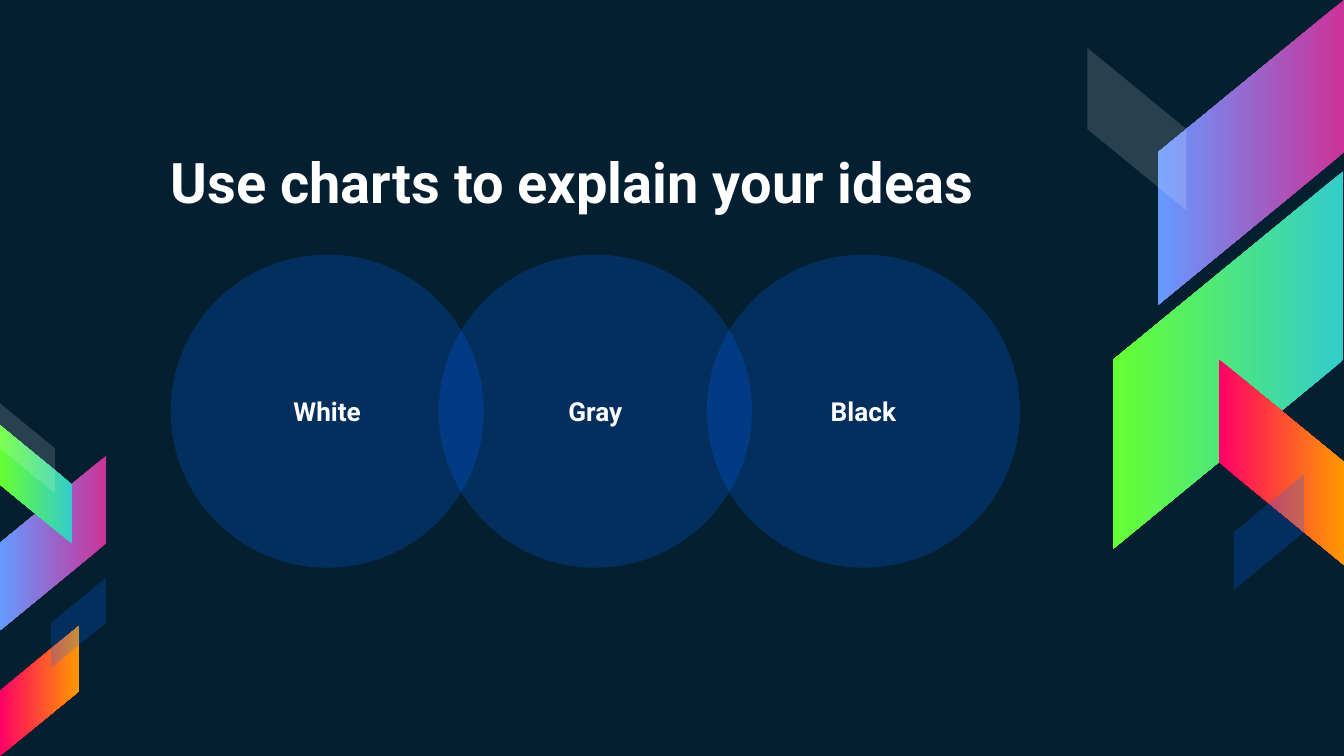
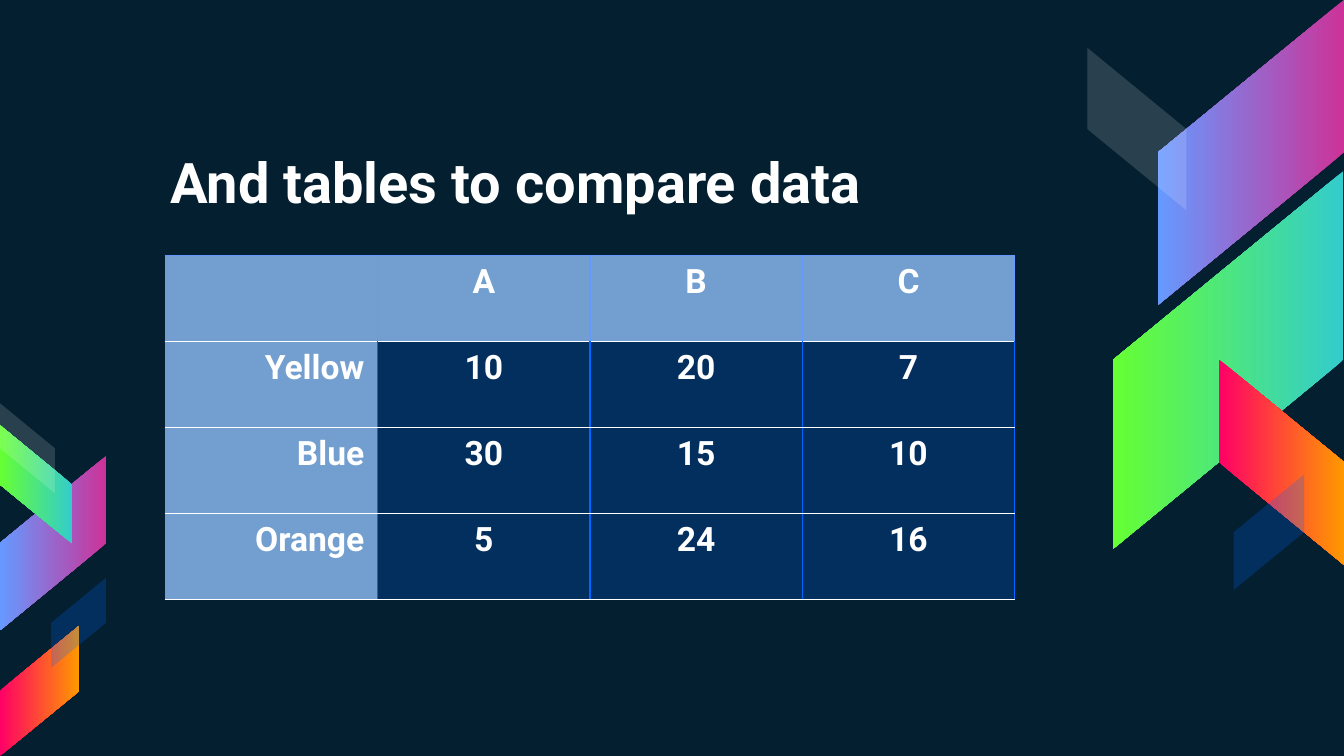
import pptx
import pptx.dml.color
import pptx.enum.shapes
import pptx.enum.text
import pptx.oxml
import pptx.oxml.ns
import pptx.util

ALIGN = pptx.enum.text.PP_ALIGN
ANCHOR = pptx.enum.text.MSO_ANCHOR
SHAPE = pptx.enum.shapes.MSO_SHAPE

# The slide is a grid of 100 columns by 56.25 rows of square cells.
CELL = pptx.util.Inches(0.1)
COLUMNS, ROWS = 100, 56.25

FONT = "Roboto"
NIGHT, WHITE, BLUE = "041F30", "FFFFFF", "0066FF"
HEADER, HEADER_EDGE = "729FCF", "6699FF"
BLUE_OPACITY = 23
NO_TABLE_STYLE = "{2D5ABB26-0587-4C30-8999-92F81FD0307C}"

# Boxes: left, top, width, height in grid cells
TITLE_BOX = (11.7, 9.95, 65.3, 7)
CIRCLES_BOX = (12.7, 18.95, 63.2, 23.3)
TABLE_BOX = (12.3, 19, 63.2, 25.6)
RIGHT_RIBBONS_BOX = (80.9, 0, 19.1, 43.9)
LEFT_RIBBONS_BOX = (0, 30, 7.9, 26.25)

# Ribbon finishes: colours, opacity, rotation
FINISHES = {
    "violet": (("CC3399", "6699FF"), 100, 90),
    "green": (("33CCCC", "66FF33"), 100, 90),
    "sunset": (("FF0066", "FF9900"), 100, 270),
    "mist": ((WHITE,), 15, 270),
    "blue": ((BLUE,), BLUE_OPACITY, 270),
}
RIBBON_ASPECT = 1.64
RIBBON_SLANT = 0.82

# Ribbons: finish, column and row within the box, height, rising to the right
RIGHT_RIBBONS = [
    ("violet", 5.25, 0, 22.7, True),
    ("green", 1.9, 12.75, 28.1, True),
    ("sunset", 9.8, 26.75, 15.3, False),
    ("mist", 0, 3.55, 12.1, False),
    ("blue", 10.9, 35.3, 8.6, True),
]
LEFT_RIBBONS = [
    ("violet", 0, 3.9, 13, True),
    ("green", 0, 1.65, 8.8, False),
    ("sunset", 0, 16.55, 9.7, True),
    ("mist", 0, 0, 6.7, False),
    ("blue", 3.8, 13, 6.7, True),
]

# Circles from back to front, with their place in the row
CIRCLES = [("Gray", 1), ("White", 0), ("Black", 2)]

COMPARISON = [
    ["", "A", "B", "C"],
    ["Yellow", "10", "20", "7"],
    ["Blue", "30", "15", "10"],
    ["Orange", "5", "24", "16"],
]


def rgb(colour):
    return pptx.dml.color.RGBColor.from_string(colour)


def cells(*lengths):
    return [round(length * CELL) for length in lengths]


def paint(fill, owner, colour, opacity=100):
    """Fill solidly; owner is the XML element that holds the fill."""
    fill.solid()
    fill.fore_color.rgb = rgb(colour)
    if opacity < 100:
        tint = owner.find(".//" + pptx.oxml.ns.qn("a:srgbClr"))
        alpha = tint.makeelement(pptx.oxml.ns.qn("a:alpha"), {"val": str(opacity * 1000)})
        tint.append(alpha)


def write(frame, text, size, align=ALIGN.LEFT, **frame_format):
    for name, value in frame_format.items():
        setattr(frame, name, value)
    paragraph = frame.paragraphs[0]
    paragraph.alignment = align
    run = paragraph.add_run()
    run.text = text
    run.font.color.rgb = rgb(WHITE)
    for name, value in {"name": FONT, "size": pptx.util.Pt(size), "bold": True}.items():
        setattr(run.font, name, value)


def inset(width):
    sides = ("left", "top", "right", "bottom")
    return {f"margin_{side}": pptx.util.Inches(width) for side in sides}


def add_plain_shape(slide, preset, box):
    shape = slide.shapes.add_shape(preset, *cells(*box))
    shape.shadow.inherit = False
    shape.line.fill.background()
    return shape


def add_ribbons(slide, box, ribbons):
    ribbon_shapes = []
    for finish, column, row, height, rising in ribbons:
        colours, opacity, rotation = FINISHES[finish]
        width = height / RIBBON_ASPECT
        # The preset lies flat and is turned upright about its centre.
        turn = (height - width) / 2
        ribbon = add_plain_shape(slide, SHAPE.PARALLELOGRAM, (
            box[0] + column - turn, box[1] + row + turn, height, width))
        ribbon.adjustments[0] = RIBBON_SLANT
        ribbon.rotation = rotation
        if rising:
            ribbon.element.spPr.xfrm.set("flipH", "1")
        if len(colours) == 1:
            paint(ribbon.fill, ribbon.element.spPr, colours[0], opacity)
        else:
            ribbon.fill.gradient()
            ribbon.fill.gradient_angle = 270
            for stop, colour in zip(ribbon.fill.gradient_stops, colours):
                stop.color.rgb = rgb(colour)
        ribbon_shapes.append(ribbon)
    return ribbon_shapes


def dress_layout(layout, slide):
    """Give the layout its background and ribbons, drawn by way of the slide."""
    layout.background.fill.solid()
    layout.background.fill.fore_color.rgb = rgb(NIGHT)
    for placeholder in list(layout.placeholders):
        placeholder.element.getparent().remove(placeholder.element)
    for box, ribbons in ((RIGHT_RIBBONS_BOX, RIGHT_RIBBONS), (LEFT_RIBBONS_BOX, LEFT_RIBBONS)):
        for ribbon in add_ribbons(slide, box, ribbons):
            layout.element.cSld.spTree.append(ribbon.element)


def add_title(slide, box, text):
    title = slide.shapes.add_textbox(*cells(*box))
    write(title.text_frame, text, 30, word_wrap=True,
          vertical_anchor=ANCHOR.BOTTOM, **inset(0.1))


def add_circles(slide, box):
    left, top, width, diameter = box
    pitch = (width - diameter) / (len(CIRCLES) - 1)
    for label, place in CIRCLES:
        circle = add_plain_shape(
            slide, SHAPE.OVAL, (left + place * pitch, top, diameter, diameter))
        paint(circle.fill, circle.element.spPr, BLUE, BLUE_OPACITY)
        write(circle.text_frame, label, 14, ALIGN.CENTER, word_wrap=True,
              vertical_anchor=ANCHOR.MIDDLE, **inset(0.1))


def set_borders(properties, left, right, top, bottom):
    edges = {"L": left, "R": right, "T": top, "B": bottom}
    for index, (side, colour) in enumerate(edges.items()):
        properties.insert(index, pptx.oxml.parse_xml(
            f'<a:ln{side} {pptx.oxml.ns.nsdecls("a")} w="{pptx.util.Pt(0.75)}"'
            ' cap="flat" cmpd="sng" algn="ctr">'
            f'<a:solidFill><a:srgbClr val="{colour}"/></a:solidFill>'
            f'<a:prstDash val="solid"/><a:round/></a:ln{side}>'))


def add_comparison(slide, box):
    row_count, column_count = len(COMPARISON), len(COMPARISON[0])
    table = slide.shapes.add_table(row_count, column_count, *cells(*box)).table
    table.first_row = table.horz_banding = False
    table._tbl.tblPr.find(pptx.oxml.ns.qn("a:tableStyleId")).text = NO_TABLE_STYLE
    for r, values in enumerate(COMPARISON):
        for c, value in enumerate(values):
            cell = table.cell(r, c)
            properties = cell._tc.get_or_add_tcPr()
            is_header, is_label = r == 0, c == 0
            if is_header or is_label:
                paint(cell.fill, properties, HEADER)
            else:
                paint(cell.fill, properties, BLUE, BLUE_OPACITY)
            set_borders(properties,
                        left=HEADER_EDGE if is_header or is_label else BLUE,
                        right=HEADER_EDGE if is_header else BLUE,
                        top=HEADER_EDGE if is_header else WHITE,
                        bottom=WHITE)
            if value:
                write(cell.text_frame, value, 18, ALIGN.RIGHT if is_label else ALIGN.CENTER)


def main():
    deck = pptx.Presentation()
    deck.slide_width, deck.slide_height = cells(COLUMNS, ROWS)
    blank = deck.slide_layouts[6]
    pages = [
        ("Use charts to explain your ideas", add_circles, CIRCLES_BOX),
        ("And tables to compare data", add_comparison, TABLE_BOX),
    ]
    slides = [deck.slides.add_slide(blank) for _ in pages]
    dress_layout(blank, slides[0])
    for slide, (title, add_content, box) in zip(slides, pages):
        add_title(slide, TITLE_BOX, title)
        add_content(slide, box)
    deck.save("out.pptx")


if __name__ == "__main__":
    main()
